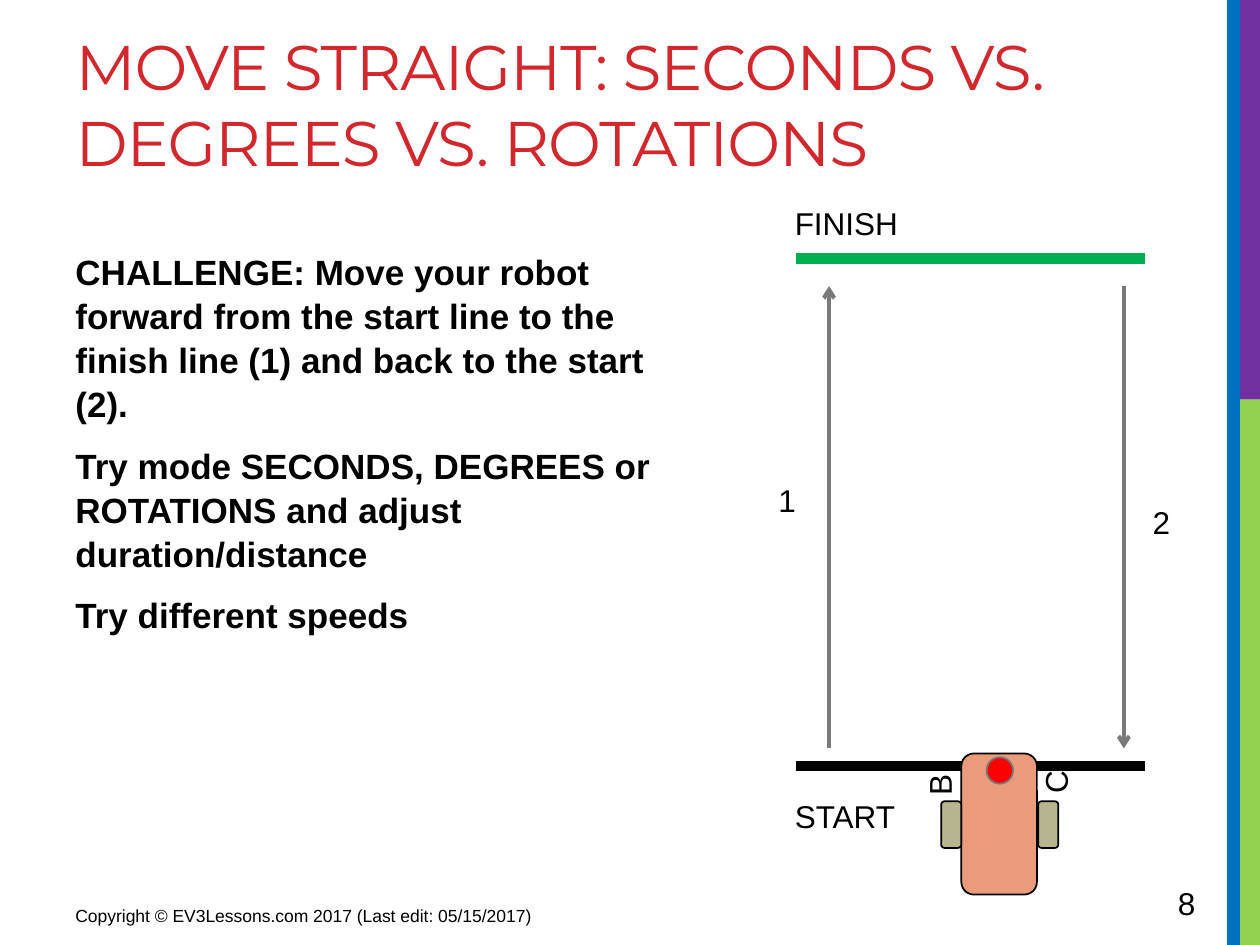
from pptx import Presentation
from pptx.dml.color import RGBColor
from pptx.enum.shapes import MSO_CONNECTOR as Link, MSO_SHAPE as Kind
from pptx.enum.text import MSO_ANCHOR as Anchor, MSO_AUTO_SIZE as Fit, PP_ALIGN as Align
from pptx.oxml.ns import qn
from pptx.util import Inches, Pt
from lxml.etree import SubElement as Sub

COLS, ROWS = 20, 15


def hue(code):
    """Turn a hex string into a colour."""
    return RGBColor.from_string(code)


def put(item, vals):
    """Set each attribute named in a dict."""
    for key, val in vals.items():
        setattr(item, key, val)


class Deck:
    """Hold the style and the current slide, on a grid of COLS by ROWS."""

    text = {"name": "Arial", "size": Pt(18), "bold": False}
    head = {"name": "Montserrat", "size": Pt(36), "bold": False}
    bold = {"name": "Arial", "size": Pt(20), "bold": True}
    note = {"name": "Arial", "size": Pt(10), "bold": False}
    frame = {"auto_size": Fit.NONE, "word_wrap": True, "vertical_anchor": Anchor.TOP,
             "margin_left": Inches(0.1), "margin_right": Inches(0.1),
             "margin_top": Inches(0.05), "margin_bottom": Inches(0.05)}

    def __init__(self):
        """Open a deck with one title-only slide."""
        self.deck = Presentation()
        put(self.deck, {"slide_width": Inches(10), "slide_height": Inches(7.5)})
        self.slide = self.deck.slides.add_slide(self.deck.slide_layouts[5])
        self.shapes = self.slide.shapes

    def grid(self, *cells):
        """Turn column and row counts, in turn, into lengths."""
        units = self.deck.slide_width / COLS, self.deck.slide_height / ROWS
        return [round(cell * units[i % 2]) for i, cell in enumerate(cells)]

    def title(self, cells, words):
        """Move, fill and format the title."""
        box = self.shapes.title
        put(box, dict(zip(("left", "top", "width", "height"), self.grid(*cells))))
        self.fill(box, [words], self.head, "D1282E")
        run = box.text_frame.paragraphs[0].runs[0]
        run.font._element.set("spc", "-60")

    def fill(self, box, lines, font, code="000000", para=None):
        """Write paragraphs into a box."""
        body = box.text_frame
        put(body, self.frame)
        for i, line in enumerate(lines):
            par = body.add_paragraph() if i else body.paragraphs[0]
            par.alignment = Align.LEFT
            put(par, para or {})
            if not i:
                par.space_before = Pt(0)
            run = par.add_run()
            run.text = line
            put(run.font, font)
            run.font.color.rgb = hue(code)

    def label(self, cells, *lines, font=None, para=None, turn=0, wrap=True):
        """Add a text box."""
        box = self.shapes.add_textbox(*self.grid(*cells))
        self.fill(box, lines, font or self.text, para=para)
        box.text_frame.word_wrap = wrap
        box.rotation = turn
        return box

    def block(self, cells, code, kind=Kind.RECTANGLE, edge=None):
        """Add a filled shape, with a thin edge if a colour is given."""
        box = self.shapes.add_shape(kind, *self.grid(*cells))
        box.shadow.inherit = False
        box.fill.solid()
        box.fill.fore_color.rgb = hue(code)
        if edge:
            box.line.color.rgb = hue(edge)
            box.line.width = Pt(1)
        else:
            box.line.fill.background()
        return box

    def line(self, ends, code, width, arrow=False):
        """Add a line, with an open arrowhead at its end on request."""
        link = self.shapes.add_connector(Link.STRAIGHT, *self.grid(*ends))
        link.line.color.rgb = hue(code)
        link.line.width = Pt(width)
        if arrow:
            Sub(link.line._get_or_add_ln(), qn("a:tailEnd"), type="arrow")
        Sub(link._element.spPr, qn("a:effectLst"))

    def robot(self):
        """Add the robot with its wheels, sensor and motor letters."""
        black, part = "000000", Kind.ROUNDED_RECTANGLE
        parts = [self.block((15.26, 11.96, 1.2, 2.24), "EA9B7C", part, black)]
        for left in (16.48, 14.94):
            parts.append(self.block((left, 12.72, 0.32, 0.74), "B6B590", part, black))
        parts.append(self.block((15.66, 12.02, 0.42, 0.42), "FF0000", Kind.OVAL, "777777"))
        for name, left, top in (("B", 14.36, 12.08), ("C", 16.2, 12.04)):
            parts.append(self.label((left, top, 0.9, 0.6), name, turn=270))
        self.shapes.add_group_shape(parts)


def main():
    """Build and save the slide."""
    page = Deck()
    for cells, code in (((19.68, 6.34, 0.32, 8.66), "92D050"),
                        ((19.6, 0, 0.4, 6.34), "7030A0"),
                        ((19.48, 0, 0.2, 15), "0070C0")):
        page.block(cells, code)
    page.title((1, 0.34, 18.04, 3), "MOVE STRAIGHT: SECONDS VS. DEGREES VS. ROTATIONS")
    page.label((1, 3.84, 9.96, 9.56),
               "CHALLENGE: Move your robot forward from the start line to the "
               "finish line (1) and back to the start (2).",
               "Try mode SECONDS, DEGREES or ROTATIONS and adjust duration/distance",
               "Try different speeds", font=page.bold,
               para={"line_spacing": 1.05, "space_before": Pt(4), "space_after": Pt(6)})

    for row, code in ((4.1, "00B050"), (12.16, "000000")):
        page.line((18.18, row, 12.64, row), code, 6)
    far, near = 4.54, 11.88
    for col, start, end in ((13.16, near, far), (17.84, far, near)):
        page.line((col, start, col, end), "7A7A7A", 2.25, arrow=True)

    for words, left, top, width in (("1", 12.16, 7.54, 0.68), ("2", 18.1, 7.88, 0.68),
                                    ("FINISH", 12.42, 3.14, 2.06),
                                    ("START", 12.42, 12.56, 2), ("8", 18.5, 13.94, 1.38)):
        page.label((left, top, width, 0.8), words, wrap=len(words) == 1)
    page.robot()
    page.label((1, 14.26, 9.42, 0.56),
               "Copyright © EV3Lessons.com 2017 (Last edit: 05/15/2017)", font=page.note)
    page.deck.save("out.pptx")


if __name__ == "__main__":
    main()
